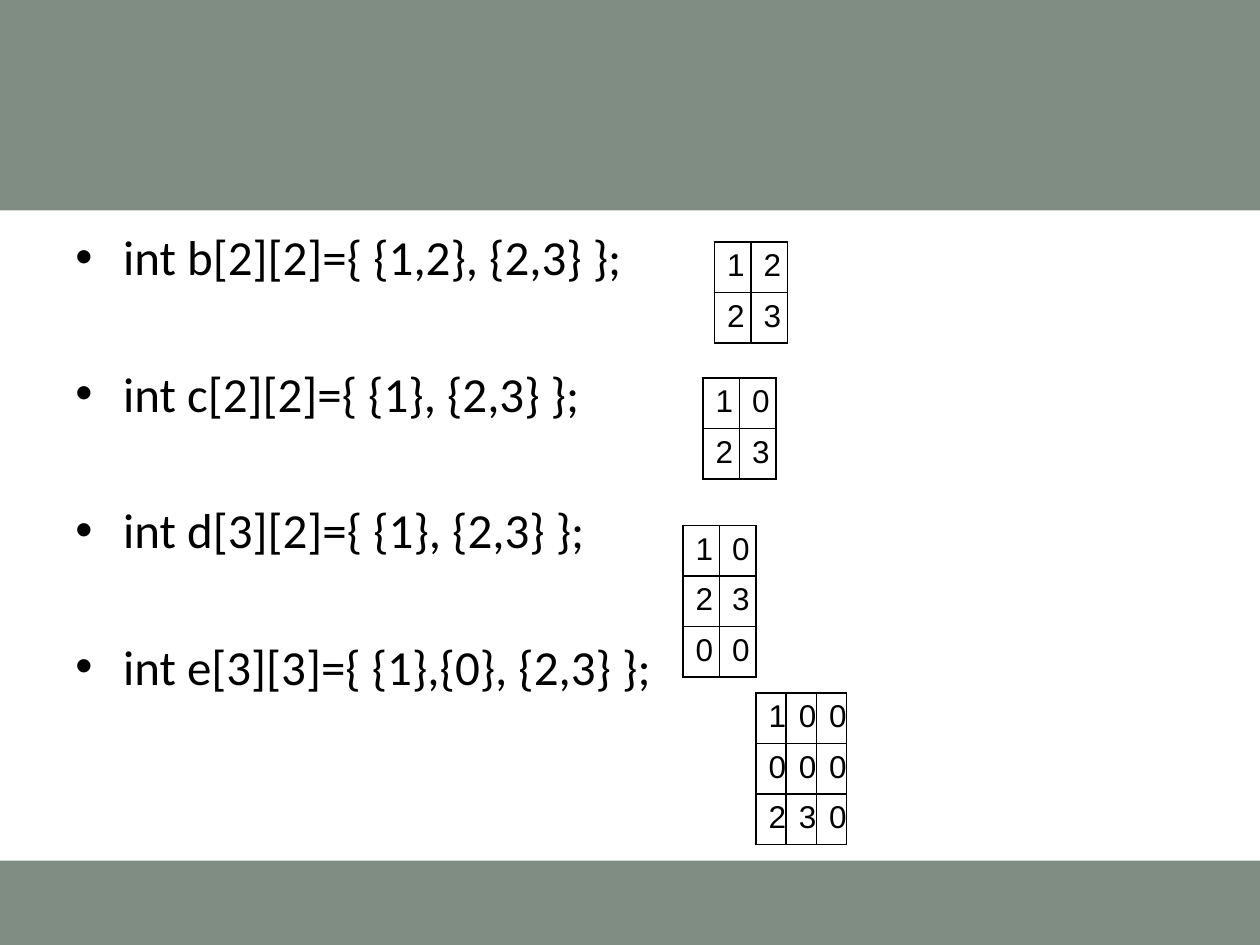
"""Build a slide showing how two-dimensional array initialisers fill their cells."""
import dataclasses
import typing

import lxml.etree
import pptx
import pptx.dml.color
import pptx.enum.shapes
import pptx.oxml.ns
import pptx.util

Inches = pptx.util.Inches
Pt = pptx.util.Pt
RGB = pptx.dml.color.RGBColor
qn = pptx.oxml.ns.qn


@dataclasses.dataclass(frozen=True)
class Theme:
    band: RGB = RGB(0x80, 0x8D, 0x83)
    ink: RGB = RGB(0, 0, 0)
    code_font: str = "Calibri"
    code_size: float = 28
    code_gap: float = 44.4
    cell_font: str = "Arial"
    cell_size: float = 18
    border: float = 1


@dataclasses.dataclass(frozen=True)
class Band:
    top: float
    height: float


@dataclasses.dataclass(frozen=True)
class Matrix:
    left: float
    top: float
    column_width: float
    rows: tuple[str, ...]


THEME = Theme()
SLIDE_WIDTH, SLIDE_HEIGHT = 10, 7.5
ROW_HEIGHT = 0.4
BULLET_INDENT = 0.38

BANDS = (Band(0, 1.67), Band(6.83, 0.67))
DECLARATIONS = (
    "int b[2][2]={ {1,2}, {2,3} };",
    "int c[2][2]={ {1}, {2,3} };",
    "int d[3][2]={ {1}, {2,3} };",
    "int e[3][3]={ {1},{0}, {2,3} };",
)
MATRICES = (
    Matrix(5.67, 1.92, 0.29, ("12", "23")),
    Matrix(5.58, 3, 0.29, ("10", "23")),
    Matrix(5.42, 4.17, 0.29, ("10", "23", "00")),
    Matrix(6, 5.5, 0.24, ("100", "000", "230")),
)


def write_text(paragraph: typing.Any, text: str, *, font: str, size: float,
               color: RGB, bullet: str = "", space_before: float = 0) -> None:
    if bullet:
        properties = paragraph._p.get_or_add_pPr()
        properties.set("marL", str(Inches(BULLET_INDENT)))
        properties.set("indent", str(-Inches(BULLET_INDENT)))
        lxml.etree.SubElement(properties, qn("a:buFont"), typeface="Arial")
        lxml.etree.SubElement(properties, qn("a:buChar"), char=bullet)
    paragraph.space_before = Pt(space_before)
    run = paragraph.add_run()
    run.text = text
    run.font.name = font
    run.font.size = Pt(size)
    run.font.color.rgb = color


def draw_band(slide: typing.Any, band: Band) -> None:
    shape = slide.shapes.add_shape(
        pptx.enum.shapes.MSO_SHAPE.RECTANGLE,
        Inches(0), Inches(band.top), Inches(SLIDE_WIDTH), Inches(band.height))
    shape.shadow.inherit = False
    shape.fill.solid()
    shape.fill.fore_color.rgb = THEME.band
    shape.line.fill.background()


def draw_declarations(slide: typing.Any, declarations: tuple[str, ...]) -> None:
    frame = slide.shapes.add_textbox(
        Inches(0.5), Inches(1.75), Inches(9), Inches(4.95)).text_frame
    frame.word_wrap = True
    for index, declaration in enumerate(declarations):
        paragraph = frame.add_paragraph() if index else frame.paragraphs[0]
        write_text(paragraph, declaration, font=THEME.code_font,
                   size=THEME.code_size, color=THEME.ink, bullet="•",
                   space_before=THEME.code_gap if index else 0)


def outline_cell(cell: typing.Any) -> None:
    properties = cell._tc.get_or_add_tcPr()
    for index, side in enumerate(("lnL", "lnR", "lnT", "lnB")):
        line = lxml.etree.Element(qn(f"a:{side}"), w=str(Pt(THEME.border)))
        fill = lxml.etree.SubElement(line, qn("a:solidFill"))
        lxml.etree.SubElement(fill, qn("a:srgbClr"), val=str(THEME.ink))
        properties.insert(index, line)


def draw_matrix(slide: typing.Any, matrix: Matrix) -> None:
    row_count, column_count = len(matrix.rows), len(matrix.rows[0])
    table = slide.shapes.add_table(
        row_count, column_count, Inches(matrix.left), Inches(matrix.top),
        Inches(matrix.column_width * column_count),
        Inches(ROW_HEIGHT * row_count)).table
    table.first_row = False
    table.horz_banding = False
    for row_index, digits in enumerate(matrix.rows):
        for column_index, digit in enumerate(digits):
            cell = table.cell(row_index, column_index)
            cell.fill.background()
            outline_cell(cell)
            write_text(cell.text_frame.paragraphs[0], digit,
                       font=THEME.cell_font, size=THEME.cell_size,
                       color=THEME.ink)


def main() -> None:
    presentation = pptx.Presentation()
    presentation.slide_width = Inches(SLIDE_WIDTH)
    presentation.slide_height = Inches(SLIDE_HEIGHT)
    slide = presentation.slides.add_slide(presentation.slide_layouts[6])
    for band in BANDS:
        draw_band(slide, band)
    draw_declarations(slide, DECLARATIONS)
    for matrix in MATRICES:
        draw_matrix(slide, matrix)
    presentation.save("out.pptx")


if __name__ == "__main__":
    main()
